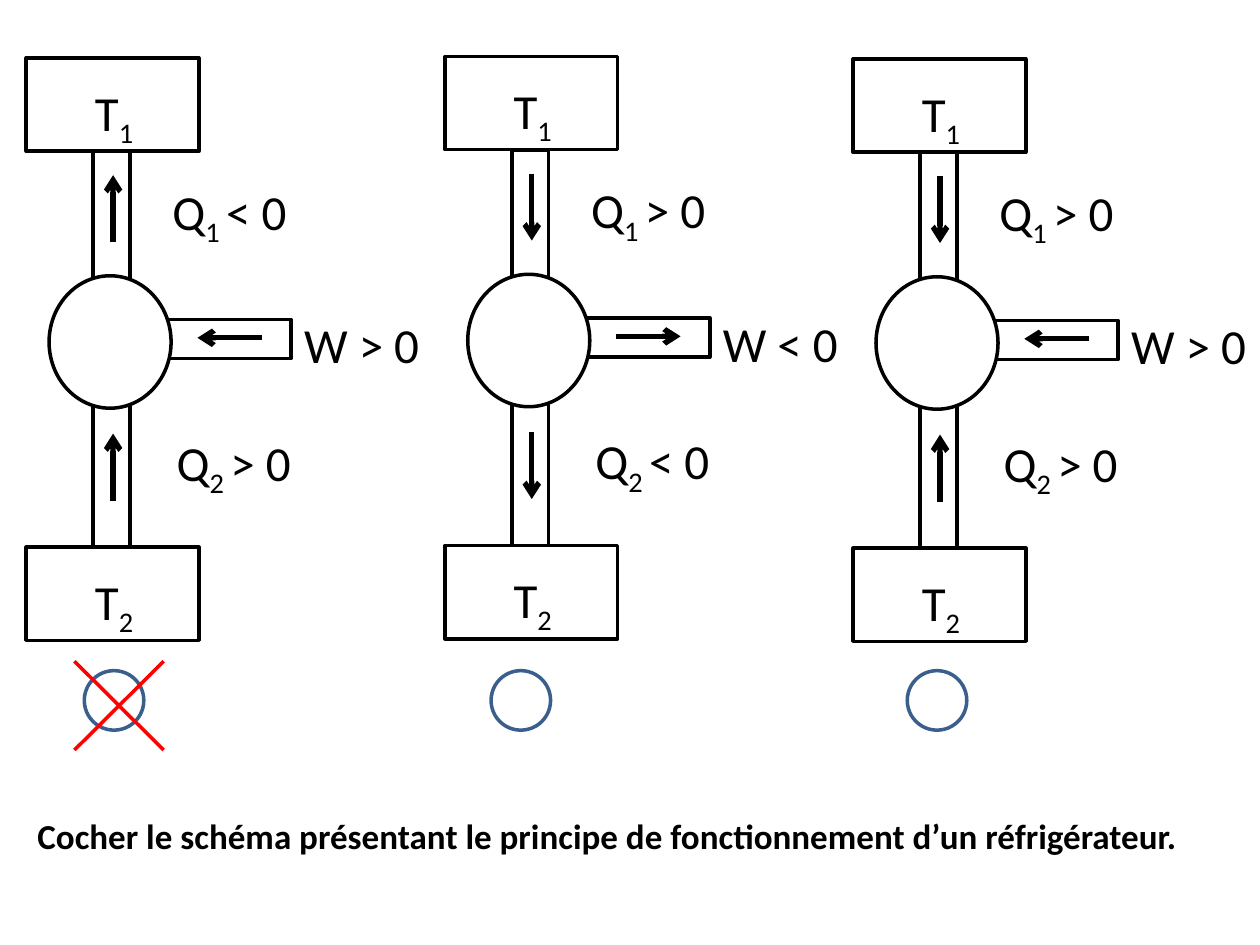
"""Builds a quiz slide with three heat engine diagrams, one of them crossed."""
from lxml import etree
from pptx import Presentation
from pptx import util as u
from pptx.dml import color
from pptx.enum import shapes, text
from pptx.oxml import ns

COLORS = {"ink": "000000", "paper": "FFFFFF", "choice": "3A5F8C", "cross": "FF0000"}
RECT = shapes.MSO_SHAPE.RECTANGLE
OVAL = shapes.MSO_SHAPE.OVAL


class Sketch:
    def __init__(self, prs):
        self.font = "Calibri"
        self.s = prs.slides.add_slide(prs.slide_layouts[5])
        self.x = self.y = 0
        self.end_group()

    def begin_group(self, x=0, y=0):
        self.canvas = self.s.shapes.add_group_shape().shapes
        self.x, self.y = x, y

    def end_group(self):
        self.canvas = self.s.shapes
        self.x = self.y = 0

    def place(self, x, y):
        return u.Cm(self.x + x), u.Cm(self.y + y)

    def rgb(self, name):
        return color.RGBColor.from_string(COLORS[name])

    def run(self, p, wording, size, bold=False, sub=False):
        r = p.add_run()
        r.text = wording
        r.font.name, r.font.size, r.font.bold = self.font, u.Pt(size), bold
        r.font.color.rgb = self.rgb("ink")
        if sub:
            r._r.get_or_add_rPr().set("baseline", "-25000")

    def shape(self, kind, x, y, w, h, line="ink", fill=None):
        sp = self.canvas.add_shape(kind, *self.place(x, y), u.Cm(w), u.Cm(h))
        sp.shadow.inherit = False
        if fill:
            sp.fill.solid()
            sp.fill.fore_color.rgb = self.rgb(fill)
        else:
            sp.fill.background()
        sp.line.color.rgb = self.rgb(line)
        sp.line.width = u.Pt(2)

    def label(self, x, y, w, symbol, index="", sign=""):
        sp = self.canvas.add_textbox(*self.place(x, y), u.Cm(w), u.Cm(1.22))
        tf = sp.text_frame
        tf.word_wrap = True
        p = tf.paragraphs[0]
        p.alignment = text.PP_ALIGN.CENTER
        self.run(p, symbol, 28)
        if index:
            self.run(p, index, 28, sub=True)
        if sign:
            self.run(p, sign, 28)

    def line(self, x1, y1, x2, y2, name="ink", width=3, arrow=True):
        sp = self.canvas.add_connector(
            shapes.MSO_CONNECTOR.STRAIGHT, *self.place(x1, y1), *self.place(x2, y2))
        sp.line.color.rgb = self.rgb(name)
        sp.line.width = u.Pt(width)
        if arrow:
            etree.SubElement(sp.line._get_or_add_ln(), ns.qn("a:tailEnd"), type="arrow")
        etree.SubElement(sp._element.spPr, ns.qn("a:effectLst"))

    def title(self, x, y, w, h, wording):
        sp = self.s.shapes.title
        sp.left, sp.top, sp.width, sp.height = map(u.Cm, (x, y, w, h))
        tf = sp.text_frame
        tf.word_wrap = True
        tf.auto_size = text.MSO_AUTO_SIZE.NONE
        tf.vertical_anchor = text.MSO_ANCHOR.TOP
        p = tf.paragraphs[0]
        p.alignment = text.PP_ALIGN.LEFT
        self.run(p, wording, 20, bold=True)

    def engine(self, x, y, q1, work, q2):
        """Draw one machine; a sign of "<" means energy leaves it."""
        self.begin_group(x, y)
        for top in (1.88, 6.86):
            self.shape(RECT, 1.35, top, 0.74, 3)
        self.shape(RECT, 2.6, 5.27, 2.74, 0.79)
        for top, index in ((0, "1"), (9.86, "2")):
            self.shape(RECT, 0, top, 3.48, 1.88)
            self.label(0.32, top + 0.36, 2.9, "T", index)
        self.shape(OVAL, 0.46, 4.39, 2.46, 2.67, fill="paper")

        for top, up in ((2.36, q1 == "<"), (7.57, q2 == ">")):
            start, end = (top + 1.35, top) if up else (top, top + 1.35)
            self.line(1.75, start, 1.75, end)
        start, end = (4.75, 3.45) if work == ">" else (3.45, 4.75)
        self.line(start, 5.64, end, 5.64)

        self.label(2.57, 2.36, 3.05, "Q", "1 ", f"{q1} 0")
        self.label(5.31, 5.05, 2.9, f"W {work} 0")
        self.label(2.73, 7.42, 2.9, "Q", "2 ", f"{q2} 0")
        self.end_group()


def main():
    prs = Presentation()
    prs.slide_width, prs.slide_height = u.Cm(25.4), u.Cm(19.05)
    sketch = Sketch(prs)

    engines = ((0.53, 1.17, "<>>"), (8.97, 1.14, "><<"), (17.2, 1.19, ">>>"))
    for x, y, signs in engines:
        sketch.engine(x, y, *signs)

    sketch.title(0.5, 16.3, 24.9, 2.74,
                 "Cocher le schéma présentant le principe de fonctionnement d’un réfrigérateur.")
    for x in (1.7, 9.9, 18.29):
        sketch.shape(OVAL, x, 13.52, 1.2, 1.2, line="choice")

    sketch.begin_group()
    for start, end in ((13.33, 15.12), (15.12, 13.33)):
        sketch.line(1.5, start, 3.3, end, "cross", 2, arrow=False)
    sketch.end_group()
    prs.save("out.pptx")


if __name__ == "__main__":
    main()
